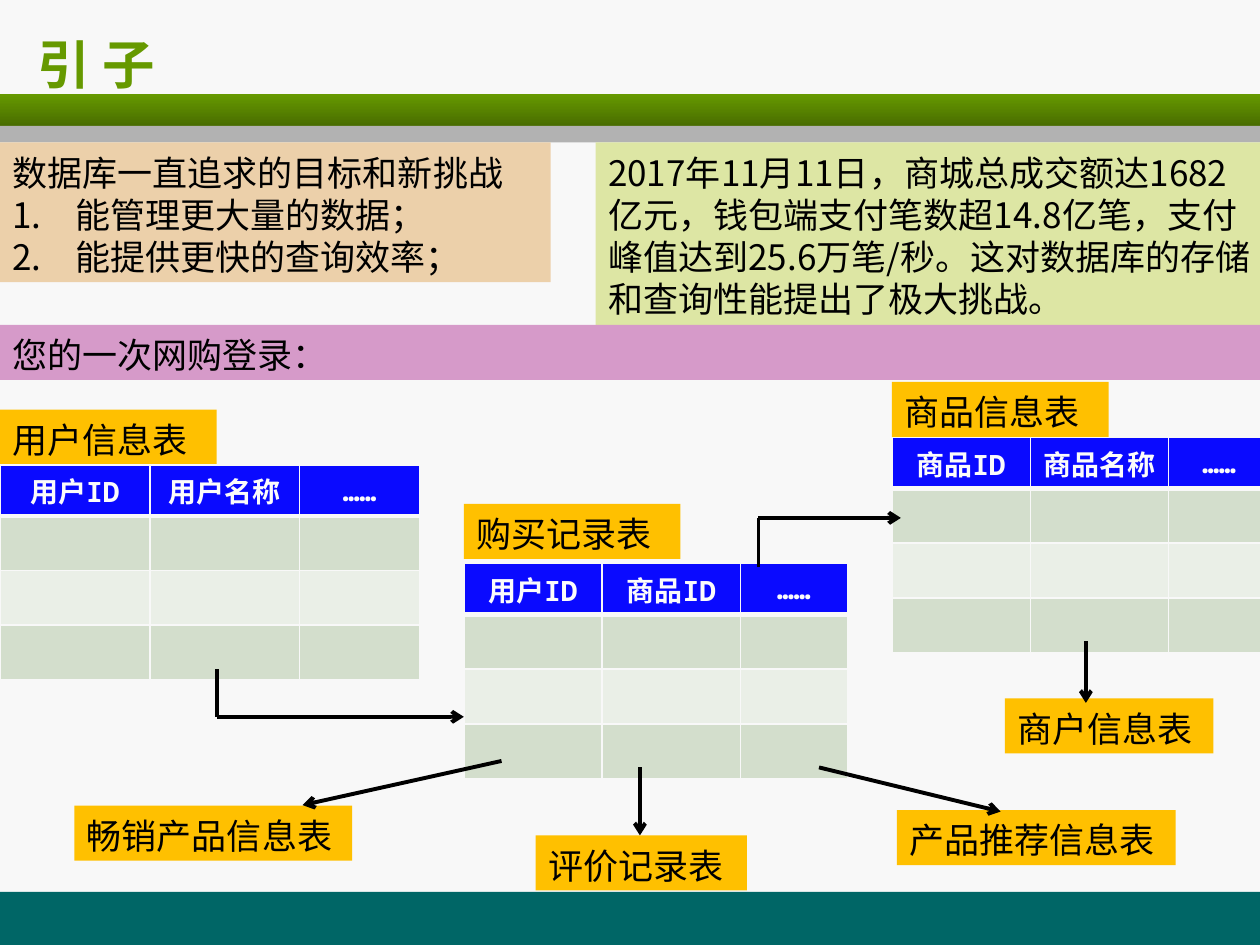
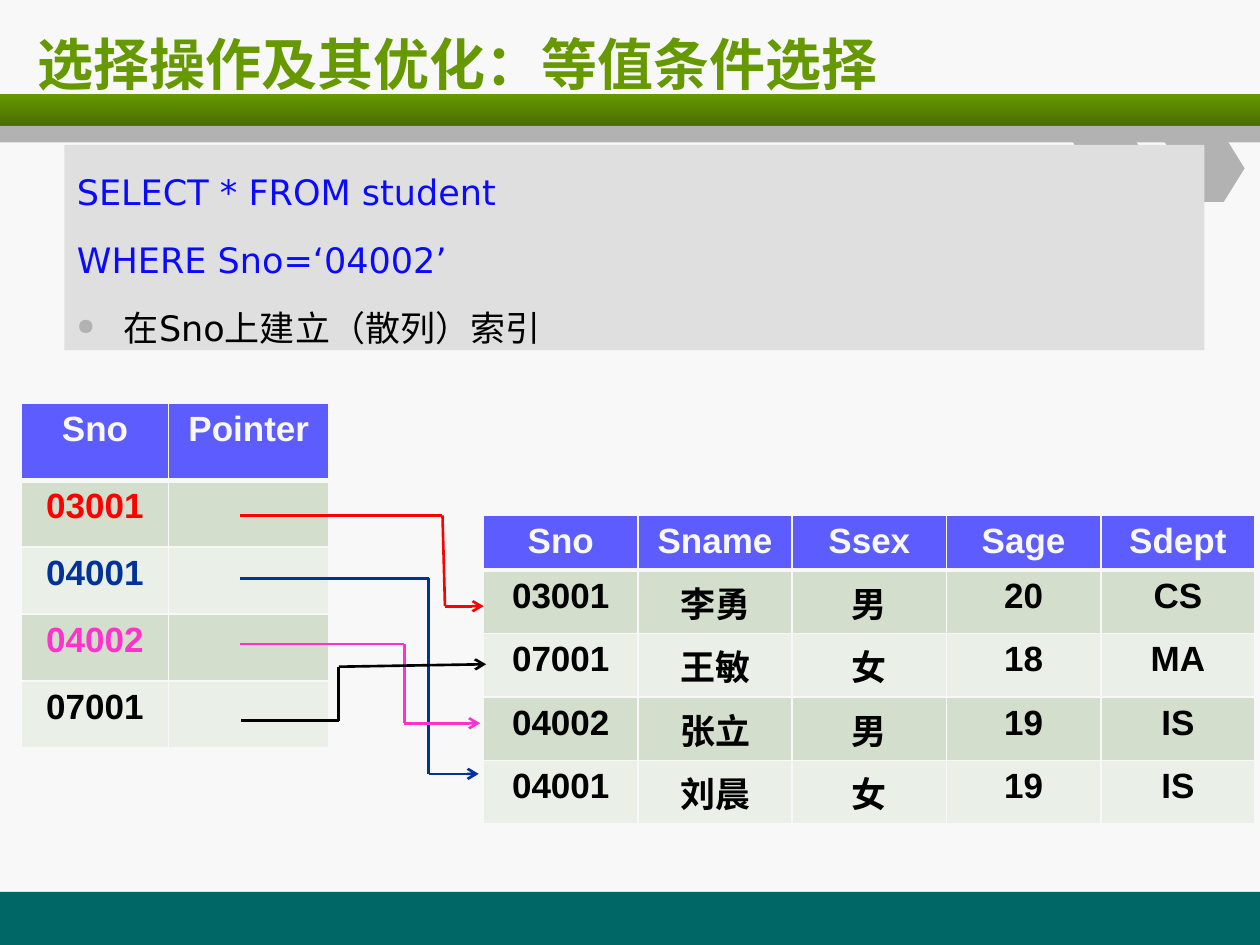
from itertools import pairwise

from lxml.etree import SubElement
from pptx import Presentation
from pptx.dml.color import RGBColor
from pptx.enum.shapes import MSO_CONNECTOR as LINE, MSO_SHAPE as SHAPE
from pptx.enum.text import MSO_ANCHOR as ANCHOR, PP_ALIGN as ALIGN
from pptx.oxml.ns import qn
from pptx.util import Cm, Pt

COLORS = {
    "page": "F8F8F8", "footer": "006666", "green": "669900", "dark_green": "496D00",
    "gray": "B2B2B2", "code_box": "DFDFDF", "lime": "DDE6A4", "sand": "ECD0AA",
    "mauve": "D69AC9", "amber": "FFC000", "blue": "0A0AFF", "header": "5C5CFF",
    "header_text": "FBFBFB", "band_dark": "D3DECC", "band_light": "EAEFE7",
    "red": "FF0000", "navy": "003399", "pink": "FF33CC", "black": "000000",
}
CJK, SANS, MONO, ARIAL = "Noto Sans CJK SC", "DejaVu Sans", "Noto Sans Mono", "Arial"
WIDTH, HEIGHT = 25.4, 19.05
LABEL_HEIGHT = 1.11

# All lengths are in centimetres.
INTRO_TITLE = ("引 子", 30)
# box (left, top, width, height), fill, paragraphs, number of the first numbered paragraph
INTRO_NOTES = [
    ((12.01, 2.87, 13.54, 3.68), "lime",
     ["2017年11月11日，商城总成交额达1682亿元，钱包端支付笔数超14.8亿笔，"
      "支付峰值达到25.6万笔/秒。这对数据库的存储和查询性能提出了极大挑战。"], None),
    ((0, 2.87, 11.1, 2.82), "sand",
     ["数据库一直追求的目标和新挑战", "能管理更大量的数据；", "能提供更快的查询效率；"], 1),
    ((0, 6.55, WIDTH, LABEL_HEIGHT), "mauve", ["您的一次网购登录："], None),
]
# left, top, width, text
TABLE_LABELS = [
    (0, 8.26, 4.37, "用户信息表"),
    (9.35, 10.16, 4.37, "购买记录表"),
    (17.98, 7.7, 4.37, "商品信息表"),
    (10.8, 16.84, 4.26, "评价记录表"),
    (18.08, 16.33, 5.62, "产品推荐信息表"),
    (1.5, 16.24, 5.6, "畅销产品信息表"),
    (20.26, 14.08, 4.2, "商户信息表"),
]
# left, top, column widths, column names
RECORD_TABLES = [
    (0, 9.37, (3.02, 3.02, 2.42), ("用户ID", "用户名称", "……")),
    (9.35, 11.36, (2.79, 2.79, 2.15), ("用户ID", "商品ID", "……")),
    (17.98, 8.82, (2.79, 2.79, 2.03), ("商品ID", "商品名称", "……")),
]
EMPTY_ROWS = 3
RECORD_ARROWS = [
    [(4.37, 13.49), (4.37, 14.45), (9.35, 14.45)],
    [(15.29, 11.43), (15.29, 10.44), (18.16, 10.44)],
    [(10.11, 15.34), (6.1, 16.23)],
    [(12.9, 15.47), (12.9, 16.84)],
    [(21.89, 12.93), (21.89, 14.17)],
    [(16.51, 15.47), (20.17, 16.36)],
]

SELECT_TITLE = ("选择操作及其优化：等值条件选择", 32)
QUERY_BOX = (1.3, 2.92, 22.98, 4.14)
QUERY = ["SELECT * FROM student", "WHERE Sno=‘04002’"]
QUERY_POINT = "在Sno上建立（散列）索引"
INDEX = [("Sno", "Pointer"), ("03001", ""), ("04001", ""), ("04002", ""), ("07001", "")]
INDEX_COLORS = ["red", "navy", "pink", "black"]
STUDENTS = [
    ("Sno", "Sname", "Ssex", "Sage", "Sdept"),
    ("03001", "李勇", "男", "20", "CS"),
    ("07001", "王敏", "女", "18", "MA"),
    ("04002", "张立", "男", "19", "IS"),
    ("04001", "刘晨", "女", "19", "IS"),
]
POINTERS = {
    "red": [(4.83, 10.39), (8.92, 10.39), (8.97, 12.22), (9.75, 12.22)],
    "navy": [(4.83, 11.66), (8.64, 11.66), (8.64, 15.6), (9.65, 15.6)],
    "pink": [(4.83, 12.98), (8.15, 12.98), (8.15, 14.58), (9.68, 14.58)],
    "black": [(4.85, 14.53), (6.83, 14.53), (6.83, 13.44), (9.8, 13.39)],
}


def rgb(name):
    return RGBColor.from_string(COLORS[name])


def paint(fill, color):
    fill.solid()
    fill.fore_color.rgb = rgb(color)


def style(p, font, size, color, bold=False):
    for r in p.runs:
        r.font.name, r.font.size, r.font.bold = font, Pt(size), bold
        r.font.color.rgb = rgb(color)
        SubElement(r.font._element, qn("a:ea"), typeface=CJK)


def add_box(s, box, fill, texts):
    sp = s.shapes.add_textbox(*map(Cm, box))
    if fill:
        paint(sp.fill, fill)
    tf = sp.text_frame
    tf.word_wrap = True
    tf.text = "\n".join(texts)
    return tf


def add_preset(s, kind, box, fill):
    sp = s.shapes.add_shape(kind, *map(Cm, box))
    sp.shadow.inherit = False
    sp.line.fill.background()
    paint(sp.fill, fill)
    return sp


def hang(p, indent):
    """Give the paragraph a hanging indent and return its properties for a bullet."""
    pPr = p._p.get_or_add_pPr()
    pPr.set("marL", str(Cm(indent)))
    pPr.set("indent", str(-Cm(indent)))
    return pPr


def add_note(s, box, fill, texts, numbered_from=None):
    tf = add_box(s, box, fill, texts)
    tf.margin_top = Cm(0.18)
    for i, p in enumerate(tf.paragraphs):
        p.line_spacing = Pt(24)
        if numbered_from is not None and i >= numbered_from:
            SubElement(hang(p, 1.27), qn("a:buAutoNum"), type="arabicPeriod")
        style(p, CJK, 20, "black")


def add_path(s, points, color, width):
    """Join the points with straight lines, with an arrowhead at the last one."""
    for start, end in pairwise(points):
        line = s.shapes.add_connector(LINE.STRAIGHT, *map(Cm, start + end))
        line.line.color.rgb = rgb(color)
        line.line.width = Pt(width)
        SubElement(line._element.spPr, qn("a:effectLst"))
    SubElement(line.line._get_or_add_ln(), qn("a:tailEnd"), type="arrow")


def set_borders(cell, top, bottom):
    tcPr = cell._tc.get_or_add_tcPr()
    sides = {"L": 1, "R": 1, "T": top, "B": bottom}
    for i, (side, width) in enumerate(sides.items()):
        ln = tcPr.makeelement(qn(f"a:ln{side}"), {"w": str(Pt(width))})
        fill = SubElement(ln, qn("a:solidFill"))
        SubElement(fill, qn("a:srgbClr"), val=COLORS["page"])
        tcPr.insert(i, ln)


def add_grid(s, left, top, widths, heights, rows, header_fill, header_style, body_styles=()):
    """Add a banded table; each style is the font, size, colour and weight of a row."""
    frame = s.shapes.add_table(len(rows), len(widths), Cm(left), Cm(top),
                               Cm(sum(widths)), Cm(sum(heights)))
    table = frame.table
    for column, width in zip(table.columns, widths):
        column.width = Cm(width)
    styles = [header_style, *body_styles]
    for i, values in enumerate(rows):
        table.rows[i].height = Cm(heights[i])
        fill = header_fill if i == 0 else ("band_light", "band_dark")[i % 2]
        for j, value in enumerate(values):
            cell = table.cell(i, j)
            paint(cell.fill, fill)
            set_borders(cell, 3 if i == 1 else 1, 3 if i == 0 else 1)
            if value:
                p = cell.text_frame.paragraphs[0]
                p.text = value
                p.alignment = ALIGN.CENTER
                style(p, *styles[i])
    return table


def add_page(prs, title, size):
    """Add a slide with the shared bands, footer and title."""
    s = prs.slides.add_slide(prs.slide_layouts[6])
    paint(s.background.fill, "page")
    add_preset(s, SHAPE.RECTANGLE, (0, 17.98, WIDTH, 1.07), "footer")
    band = add_preset(s, SHAPE.RECTANGLE, (0, 1.9, WIDTH, 0.64), "green")
    band.fill.gradient()
    band.fill.gradient_angle = 270
    for stop, color, position in zip(band.fill.gradient_stops, ("green", "dark_green"), (0, 1)):
        stop.color.rgb = rgb(color)
        stop.position = position
    add_preset(s, SHAPE.RECTANGLE, (0, 2.54, WIDTH, 0.33), "gray")
    tf = add_box(s, (0.51, 0.43, 24.26, 1.7), None, [title])
    tf.vertical_anchor = ANCHOR.MIDDLE
    style(tf.paragraphs[0], SANS, size, "green", True)
    return s


def build_intro(prs):
    s = add_page(prs, *INTRO_TITLE)
    for note in INTRO_NOTES:
        add_note(s, *note)
    for left, top, width, text in TABLE_LABELS:
        add_note(s, (left, top, width, LABEL_HEIGHT), "amber", [text])
    for left, top, widths, names in RECORD_TABLES:
        rows = [names] + [[""] * len(names)] * EMPTY_ROWS
        table = add_grid(s, left, top, widths, [1.03] + [1.1] * EMPTY_ROWS, rows,
                         "blue", (MONO, 16, "header_text", True))
        for cell in table.rows[0].cells:
            cell.vertical_anchor = ANCHOR.MIDDLE
            cell.margin_top = cell.margin_bottom = Cm(0.1)
    for points in RECORD_ARROWS:
        add_path(s, points, "black", 2.25)


def build_select(prs):
    s = add_page(prs, *SELECT_TITLE)
    for left in (21.54, 23.39):
        chevron = add_preset(s, SHAPE.CHEVRON, (left, 2.72, 1.7, 1.35), "gray")
        chevron.adjustments[0] = 0.31

    tf = add_box(s, QUERY_BOX, "code_box", QUERY + [QUERY_POINT])
    for i, p in enumerate(tf.paragraphs):
        p.line_spacing = Pt(35)
        if i:
            p.space_before = Pt(4)
        style(p, SANS, 20, "blue" if i < len(QUERY) else "black")
    pPr = hang(p, 0.95)
    SubElement(SubElement(pPr, qn("a:buClr")), qn("a:srgbClr"), val=COLORS["gray"])
    SubElement(pPr, qn("a:buSzPct"), val="65000")
    SubElement(pPr, qn("a:buChar"), char="●")

    header = (ARIAL, 20, "page", True)
    add_grid(s, 0.43, 8.13, (2.97, 3.23), [1.55] + [1.35] * 4, INDEX, "header", header,
             [(ARIAL, 20, color, True) for color in INDEX_COLORS])
    add_grid(s, 9.75, 10.39, [3.11] * 5, [1.05] + [1.28] * 4, STUDENTS, "header", header,
             [(ARIAL, 20, "black", True)] * 4)
    for color, points in POINTERS.items():
        add_path(s, points, color, 1.5)


def main():
    prs = Presentation()
    prs.slide_width, prs.slide_height = Cm(WIDTH), Cm(HEIGHT)
    build_intro(prs)
    build_select(prs)
    prs.save("out.pptx")


if __name__ == "__main__":
    main()
